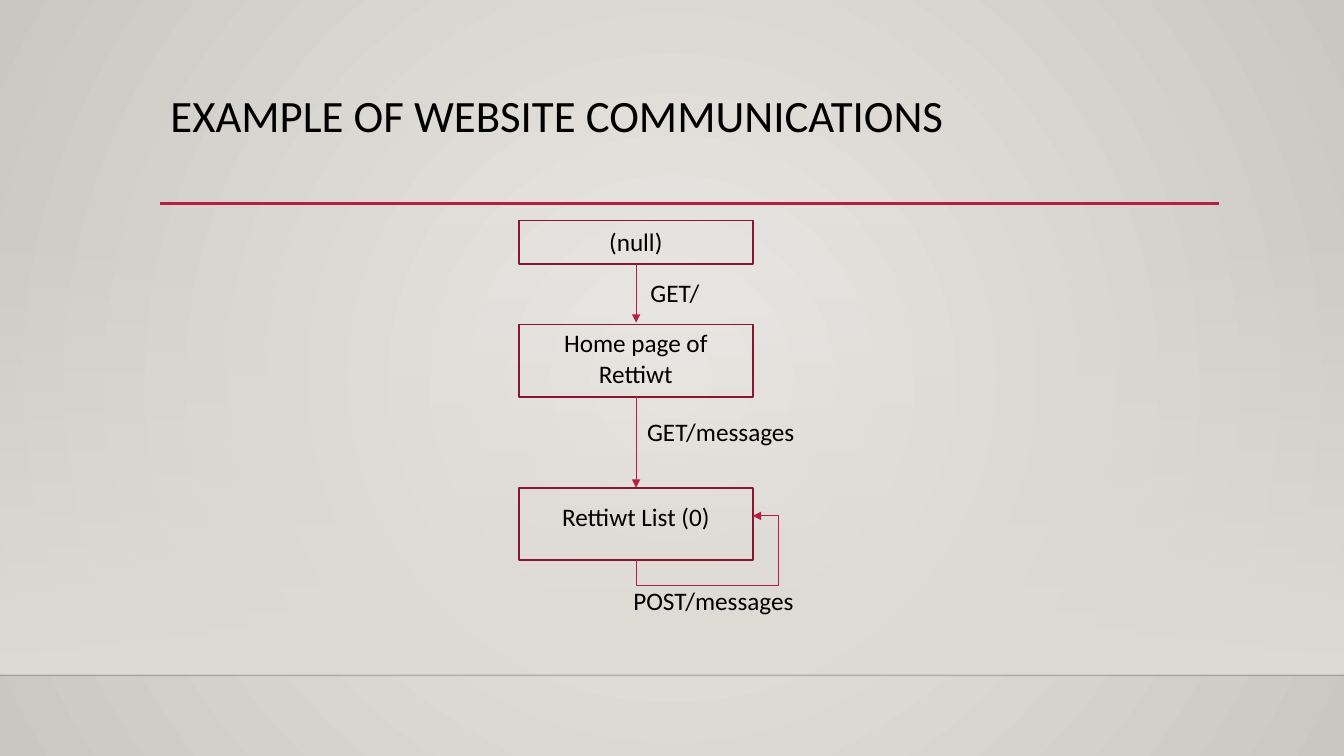
from lxml.etree import SubElement
from pptx import Presentation
from pptx.dml.color import RGBColor
from pptx.enum.shapes import MSO_CONNECTOR as CONN, MSO_SHAPE as SHAPE
from pptx.enum.text import MSO_ANCHOR as ANCHOR, MSO_AUTO_SIZE as AUTO, PP_ALIGN as ALIGN
from pptx.oxml.ns import qn
from pptx.util import Cm, Pt

W, H = 33.87, 19.05


def rgb(value):
    return RGBColor.from_string(value)


def write(tf, text, size=18, font="Calibri", color="000000", align=ALIGN.CENTER, spacing=None):
    p = tf.paragraphs[0]
    p.alignment, p.line_spacing = align, spacing
    r = p.add_run()
    r.text = text
    r.font.size, r.font.name = Pt(size), font
    r.font.color.rgb = rgb(color)


def gradient(fill, start, end):
    fill.gradient()
    for stop, color in zip(fill.gradient_stops, (start, end)):
        stop.color.rgb = rgb(color)


def set_alpha(element, percent):
    """Make the first colour in the element translucent."""
    color = next(element.iter(qn("a:srgbClr")))
    SubElement(color, qn("a:alpha"), val=str(percent * 1000))


class Diagram:
    RED, DARK_RED = "B71E42", "871631"
    BOX_LEFT, BOX_WIDTH = 13.08, 5.89
    CENTER = 16.03

    def __init__(self, prs):
        self.s = prs.slides.add_slide(prs.slide_layouts[5])

    def background(self, inner, outer):
        gradient(self.s.background.fill, inner, outer)
        grad = next(self.s.element.iter(qn("a:gradFill")))
        grad.remove(grad.find(qn("a:lin")))
        circle = SubElement(grad, qn("a:path"), path="circle")
        SubElement(circle, qn("a:fillToRect"), l="50000", t="50000", r="50000", b="50000")

    def fade(self, top, height, color):
        sp = self.rect(0, top, W, height)
        gradient(sp.fill, color, color)
        sp.fill.gradient_angle = 270
        set_alpha(sp.element.spPr, 0)
        sp.line.fill.background()

    def title(self, text, left, top, width, height):
        sp = self.s.shapes.title
        sp.left, sp.top, sp.width, sp.height = map(Cm, (left, top, width, height))
        tf = sp.text_frame
        tf.auto_size, tf.vertical_anchor = AUTO.NONE, ANCHOR.TOP
        write(tf, text, size=32, align=ALIGN.LEFT, spacing=0.9)

    def rect(self, left, top, width, height):
        sp = self.s.shapes.add_shape(SHAPE.RECTANGLE, *map(Cm, (left, top, width, height)))
        sp.shadow.inherit = False
        return sp

    def text(self, text, left, top, width, height=1.02, wrap=False):
        tf = self.s.shapes.add_textbox(*map(Cm, (left, top, width, height))).text_frame
        tf.word_wrap, tf.auto_size = wrap, AUTO.SHAPE_TO_FIT_TEXT
        write(tf, text)

    def box(self, text, top, height, text_top, text_height=1.02):
        sp = self.rect(self.BOX_LEFT, top, self.BOX_WIDTH, height)
        sp.fill.background()
        sp.line.color.rgb, sp.line.width = rgb(self.DARK_RED), Pt(1.25)
        self.text(text, self.BOX_LEFT, text_top, self.BOX_WIDTH, text_height, wrap=True)

    def line(self, x1, y1, x2, y2, color=RED, width=0.75):
        c = self.s.shapes.add_connector(CONN.STRAIGHT, *map(Cm, (x1, y1, x2, y2)))
        c.line.color.rgb, c.line.width = rgb(color), Pt(width)
        SubElement(c.element.spPr, qn("a:effectLst"))
        return c

    def arrowhead(self, shape):
        SubElement(shape.element.spPr.find(qn("a:ln")), qn("a:tailEnd"), type="triangle")

    def arrow(self, top, bottom):
        self.arrowhead(self.line(self.CENTER, top, self.CENTER, bottom))

    def loop(self, *points):
        start, *rest = [(Cm(x), Cm(y)) for x, y in points]
        builder = self.s.shapes.build_freeform(*start)
        builder.add_line_segments(rest, close=False)
        sp = builder.convert_to_shape()
        sp.shadow.inherit = False
        sp.fill.background()
        sp.line.color.rgb, sp.line.width = rgb(self.RED), Pt(0.75)
        self.arrowhead(sp)


def main():
    prs = Presentation()
    prs.slide_width, prs.slide_height = Cm(W), Cm(H)
    d = Diagram(prs)

    # Backdrop
    d.background("ECEAE7", "CAC7C1")
    d.fade(5.61, 11.4, "DFDBD5")
    horizon = d.line(0, 17.02, W, 17.02, color="000001", width=1)
    set_alpha(horizon.element.spPr, 20)

    # Title and rule
    d.line(4.04, 5.13, 30.73, 5.13, width=2.5)
    d.title("EXAMPLE OF WEBSITE COMMUNICATIONS", 4.04, 2.24, 26.67, 2.92)

    # Pages
    d.box("(null)", 5.56, 1.09, text_top=5.59)
    d.box("Home page of Rettiwt", 8.18, 1.83, text_top=8.13, text_height=1.8)
    d.box("Rettiwt List (0)", 12.29, 1.83, text_top=12.5)

    # Requests
    d.arrow(6.65, 8.13)
    d.arrow(10.01, 12.29)
    d.loop((d.CENTER, 14.12), (d.CENTER, 14.76), (19.61, 14.76), (19.61, 13), (18.97, 13))
    d.text("GET/", d.CENTER, 6.86, 1.96)
    d.text("GET/messages", d.CENTER, 10.36, 4.27)
    d.text("POST/messages", 15.67, 14.63, 4.62)

    prs.save("out.pptx")


if __name__ == "__main__":
    main()
